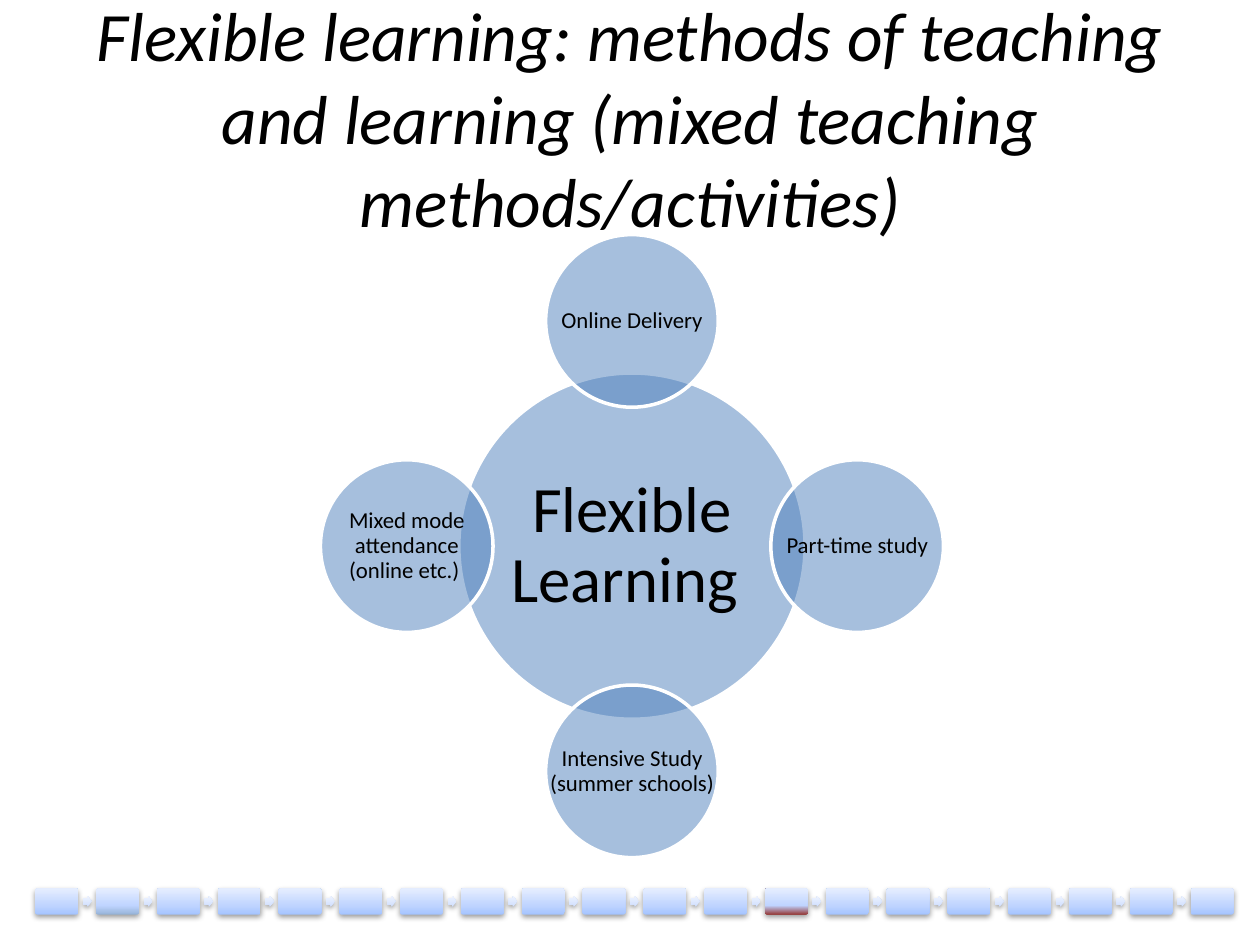
from pptx import Presentation
from pptx.dml.color import RGBColor
from pptx.enum.shapes import MSO_SHAPE
from pptx.enum.text import MSO_ANCHOR, MSO_AUTO_SIZE, PP_ALIGN
from pptx.oxml import parse_xml
from pptx.oxml.ns import nsdecls, qn
from pptx.util import Cm, Pt

OVAL = MSO_SHAPE.OVAL
ROUNDED = MSO_SHAPE.ROUNDED_RECTANGLE
ARROW = MSO_SHAPE.RIGHT_ARROW
CENTER = PP_ALIGN.CENTER
MIDDLE = MSO_ANCHOR.MIDDLE
NO_FIT = MSO_AUTO_SIZE.NONE

BLACK = RGBColor(0x00, 0x00, 0x00)
WHITE = RGBColor(0xFF, 0xFF, 0xFF)
BLUE = RGBColor(0x4F, 0x81, 0xBD)
STEP_BASE = RGBColor(0xA4, 0xC4, 0xFF)
STEP_GREY = RGBColor(0x95, 0xB3, 0xD7)
STEP_RED = RGBColor(0x95, 0x37, 0x35)
STEP_MID = RGBColor(0xBF, 0xD4, 0xFF)
STEP_TOP = RGBColor(0xE6, 0xEE, 0xFF)
ARROW_COLORS = (RGBColor(0xCD, 0xDD, 0xFE), RGBColor(0xDB, 0xE6, 0xFE),
                RGBColor(0xF0, 0xF5, 0xFF))


class SlideBuilder:
    font = "Calibri"

    def __init__(self, slide):
        self.slide = slide

    def format_text(self, frame, text, size, inset, italic=False, spacing=None):
        frame.word_wrap = True
        frame.auto_size = NO_FIT
        frame.vertical_anchor = MIDDLE
        frame.margin_left = frame.margin_right = Cm(inset[0])
        frame.margin_top = frame.margin_bottom = Cm(inset[1])
        frame.text = text
        para = frame.paragraphs[0]
        para.alignment = CENTER
        para.line_spacing = spacing
        span = para.runs[0]
        span.font.name = self.font
        span.font.size = Pt(size)
        span.font.italic = italic
        span.font.color.rgb = BLACK

    def title(self, text, left, top, width, height):
        box = self.slide.shapes.title
        box.left, box.top, box.width, box.height = map(Cm, (left, top, width, height))
        self.format_text(box.text_frame, text, 39.6, (0.25, 0.13), italic=True)

    def circle(self, text, center_x, center_y, diameter, size, inset):
        """Translucent circle with a label over its full width."""
        area = [Cm(value) for value in (center_x - diameter / 2,
                                        center_y - diameter / 2, diameter, diameter)]
        shape = self.slide.shapes.add_shape(OVAL, *area)
        shape.shadow.inherit = False
        shape.fill.solid()
        shape.fill.fore_color.rgb = BLUE
        color = shape._element.spPr.find(qn("a:solidFill"))[0]
        color.append(parse_xml(f'<a:alpha {nsdecls("a")} val="50000"/>'))
        shape.line.color.rgb = WHITE
        shape.line.width = Pt(2)
        label = self.slide.shapes.add_textbox(*area)
        self.format_text(label.text_frame, text, size, (inset, inset), spacing=0.9)

    def glossy(self, kind, left, top, width, height, adjustments, colors):
        """Borderless shape with an upward gradient and a soft shadow."""
        shape = self.slide.shapes.add_shape(kind, Cm(left), Cm(top), Cm(width), Cm(height))
        for index, value in enumerate(adjustments):
            shape.adjustments[index] = value
        shape.fill.background()
        shape.line.fill.background()
        shape.shadow.inherit = False
        properties = shape._element.spPr
        stops = "".join(f'<a:gs pos="{position}"><a:srgbClr val="{color}"/></a:gs>'
                        for position, color in zip((0, 35000, 100000), colors))
        gradient = parse_xml(f'<a:gradFill {nsdecls("a")} rotWithShape="1">'
                             f'<a:gsLst>{stops}</a:gsLst>'
                             '<a:lin ang="16200000" scaled="1"/></a:gradFill>')
        properties.replace(properties.find(qn("a:noFill")), gradient)
        properties.find(qn("a:effectLst")).append(parse_xml(
            f'<a:outerShdw {nsdecls("a")} blurRad="40000" dist="20000" dir="5400000" '
            f'rotWithShape="0"><a:srgbClr val="{BLACK}"><a:alpha val="38000"/>'
            '</a:srgbClr></a:outerShdw>'))


def main():
    deck = Presentation()
    deck.slide_width, deck.slide_height = Cm(25.4), Cm(19.05)
    page = SlideBuilder(deck.slides.add_slide(deck.slide_layouts[5]))

    page.title("Flexible learning: methods of teaching and learning "
               "(mixed teaching methods/activities)", 1.27, 0.76, 22.86, 3.18)

    # Hub with four circles around it
    hub_x, hub_y, orbit = 12.74, 11.01, 4.54
    page.circle("Flexible Learning ", hub_x, hub_y, 6.98, 37, 0.12)
    satellites = (("Online Delivery", 0, -1),
                  ("Part-time study", 1, 0),
                  ("Intensive Study (summer schools)", 0, 1),
                  ("Mixed mode attendance (online etc.) ", -1, 0))
    for text, across, down in satellites:
        page.circle(text, hub_x + across * orbit, hub_y + down * orbit, 3.48, 13, 0.04)

    # Progress strip along the bottom
    steps, first, last = 20, 0.71, 24.0
    pitch = (last - first) / (steps - 1)
    special = {1: STEP_GREY, 12: STEP_RED}
    for step in range(steps):
        left = first + step * pitch
        base = special.get(step, STEP_BASE)
        page.glossy(ROUNDED, left, 17.91, 0.87, 0.53, (0.1,), (base, STEP_MID, STEP_TOP))
        if step < steps - 1:
            page.glossy(ARROW, left + 0.96, 18.06, 0.18, 0.22, (0.6, 0.5), ARROW_COLORS)

    deck.save("out.pptx")


if __name__ == "__main__":
    main()
